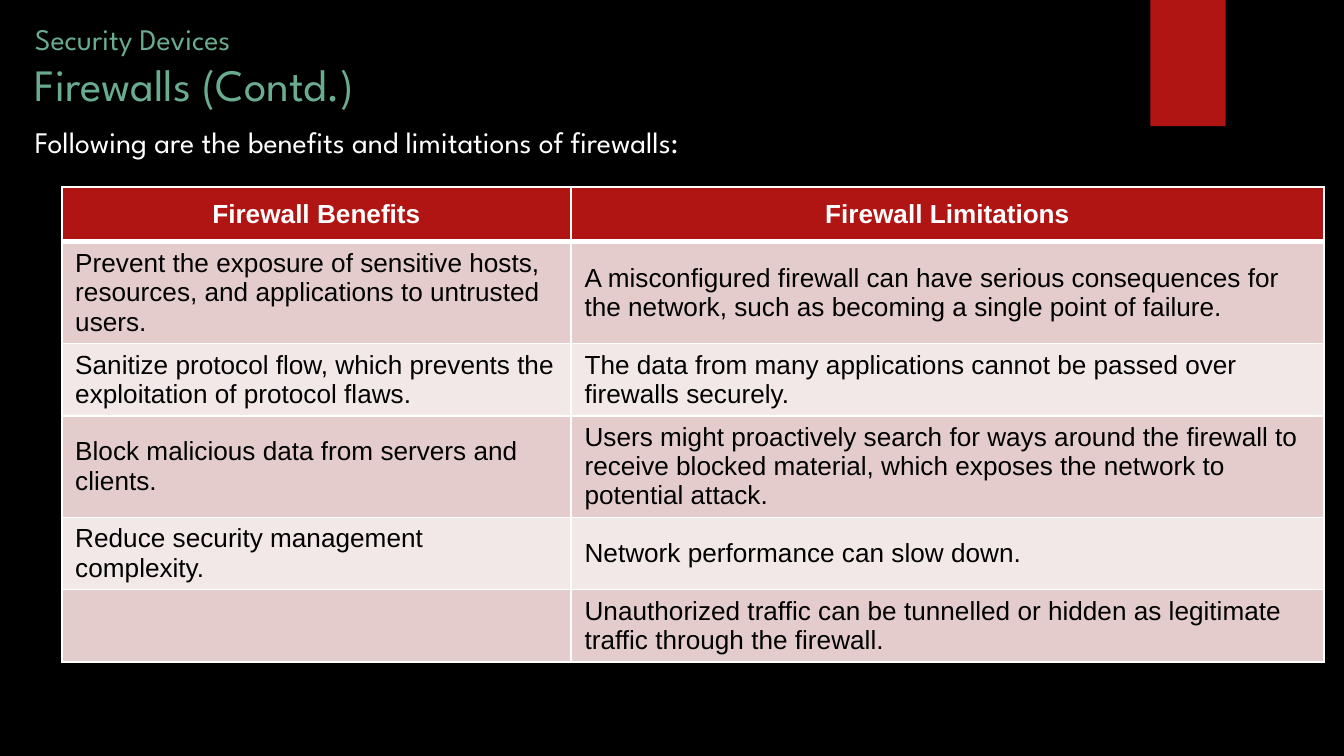
from lxml import etree
from pptx import Presentation
from pptx.dml.color import RGBColor
from pptx.enum.shapes import MSO_SHAPE
from pptx.enum.text import MSO_ANCHOR, MSO_AUTO_SIZE, PP_ALIGN
from pptx.util import Inches, Pt

RECTANGLE = MSO_SHAPE.RECTANGLE
TOP, MIDDLE = MSO_ANCHOR.TOP, MSO_ANCHOR.MIDDLE
NO_AUTOFIT = MSO_AUTO_SIZE.NONE
LEFT, CENTER = PP_ALIGN.LEFT, PP_ALIGN.CENTER
DRAWING = "{http://schemas.openxmlformats.org/drawingml/2006/main}"

BLACK, WHITE, GREEN, RED = "000000", "FFFFFF", "6AAC90", "B01513"
BANDS = ["F2E8E7", "E4CCCC"]
MARGIN = Inches(0.16)
ROW_HEIGHT = Inches(0.41)
COLUMN_WIDTHS = [Inches(3.79), Inches(5.6)]


def paint(fill, color):
    fill.solid()
    fill.fore_color.rgb = RGBColor.from_string(color)


def style(font, name, color, size=None, bold=False):
    font.name = name
    font.bold = bold
    font.color.rgb = RGBColor.from_string(color)
    if size:
        font.size = Pt(size)


deck = Presentation()
deck.slide_width = Inches(10)
deck.slide_height = deck.slide_width * 9 // 16
page = deck.slides.add_slide(deck.slide_layouts[1])
paint(page.background.fill, BLACK)

# Red tab hanging from the top edge
tab = page.shapes.add_shape(RECTANGLE, Inches(8.56), 0, Inches(0.56), Inches(0.94))
tab.shadow.inherit = False
paint(tab.fill, RED)
tab.line.fill.background()

# Section name and slide title
title = page.shapes.title
title.left, title.top = MARGIN, Inches(0.07)
title.width, title.height = deck.slide_width - MARGIN, Inches(0.83)
title.text_frame.auto_size = NO_AUTOFIT
title.text_frame.vertical_anchor = MIDDLE
heading = title.text_frame.paragraphs[0]
heading.alignment = LEFT
style(heading.font, "League Spartan", GREEN)
section = heading.add_run()
section.text = "Security Devices"
section.font.size = Pt(16)
heading.add_line_break()
topic = heading.add_run()
topic.text = "Firewalls (Contd.)"
topic.font.size = Pt(24)

# Introductory sentence, without a bullet
body = page.placeholders[1]
body.left, body.top = MARGIN, Inches(0.87)
body.width, body.height = deck.slide_width - 2 * MARGIN, Inches(0.43)
body.text_frame.auto_size = NO_AUTOFIT
body.text_frame.vertical_anchor = TOP
intro = body.text_frame.paragraphs[0]
intro.text = "Following are the benefits and limitations of firewalls:"
intro.space_before = Pt(7.5)
style(intro.font, "League Spartan", WHITE, 16)
properties = intro._p.get_or_add_pPr()
properties.set("marL", "0")
properties.set("indent", "0")
no_bullet = etree.Element(DRAWING + "buNone")
properties.find(DRAWING + "defRPr").addprevious(no_bullet)

# Benefits and limitations; rows grow to fit their text
rows = [
    ("Firewall Benefits", "Firewall Limitations"),
    ("Prevent the exposure of sensitive hosts, resources, and applications to untrusted users.",
     "A misconfigured firewall can have serious consequences for the network, "
     "such as becoming a single point of failure."),
    ("Sanitize protocol flow, which prevents the exploitation of protocol flaws.",
     "The data from many applications cannot be passed over firewalls securely."),
    ("Block malicious data from servers and clients.",
     "Users might proactively search for ways around the firewall to receive blocked material, "
     "which exposes the network to potential attack."),
    ("Reduce security management complexity.", "Network performance can slow down."),
    ("", "Unauthorized traffic can be tunnelled or hidden as legitimate traffic "
         "through the firewall."),
]
table = page.shapes.add_table(
    len(rows), len(COLUMN_WIDTHS), Inches(0.46), Inches(1.39),
    sum(COLUMN_WIDTHS), ROW_HEIGHT * len(rows)).table
for column, width in zip(table.columns, COLUMN_WIDTHS):
    column.width = width
for row_index, texts in enumerate(rows):
    is_header = row_index == 0
    for column_index, text in enumerate(texts):
        cell = table.cell(row_index, column_index)
        cell.text = text
        cell.vertical_anchor = MIDDLE
        paint(cell.fill, RED if is_header else BANDS[row_index % 2])
        para = cell.text_frame.paragraphs[0]
        para.alignment = CENTER if is_header else LEFT
        style(para.font, "Arial", WHITE if is_header else BLACK, 14, is_header)
        if is_header:
            # Borders come before the fill in the cell properties
            cell_properties = cell._tc.get_or_add_tcPr()
            for position, (side, points) in enumerate(
                    [("lnL", 1), ("lnR", 1), ("lnT", 1), ("lnB", 3)]):
                border = etree.Element(DRAWING + side, w=str(Pt(points)))
                line_fill = etree.SubElement(border, DRAWING + "solidFill")
                etree.SubElement(line_fill, DRAWING + "srgbClr", val=WHITE)
                cell_properties.insert(position, border)

deck.save("out.pptx")
